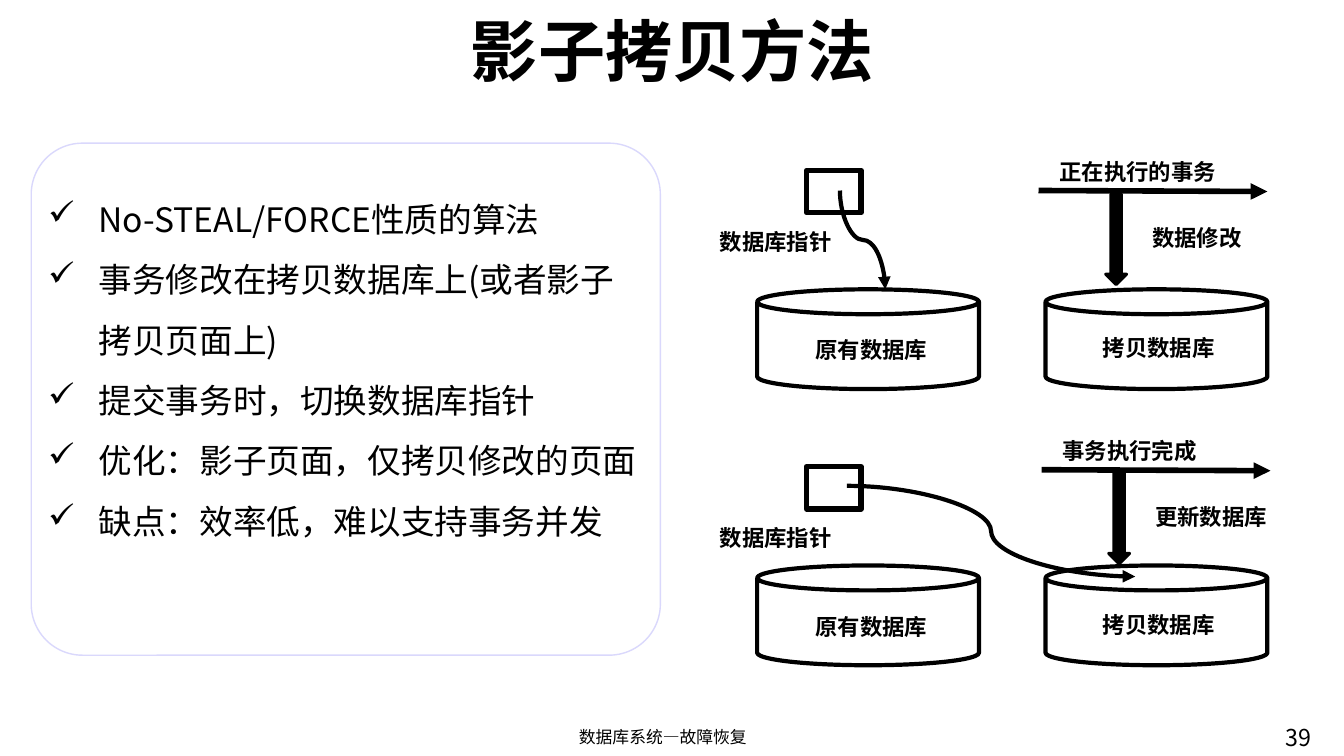
import dataclasses

import pptx
import pptx.dml.color
import pptx.enum.shapes
import pptx.enum.text
import pptx.oxml.ns
import pptx.util
from lxml import etree

SHAPE = pptx.enum.shapes.MSO_SHAPE
CONNECTOR = pptx.enum.shapes.MSO_CONNECTOR
ALIGN = pptx.enum.text.PP_ALIGN
ANCHOR = pptx.enum.text.MSO_ANCHOR
qn = pptx.oxml.ns.qn


@dataclasses.dataclass(frozen=True)
class Theme:
    font: str = "Noto Sans CJK SC"
    ink: str = "000000"
    paper: str = "FFFFFF"
    frame: str = "DAD8FC"
    title: float = 48
    body: float = 24
    body_line: float = 43.2
    label: float = 16
    footer: float = 12
    number: float = 16.6


@dataclasses.dataclass(frozen=True)
class Box:
    x: float
    y: float
    w: float
    h: float

    def inner(self, x, y, w=0, h=0):
        return Box(self.x + x, self.y + y, w, h)

    def emu(self):
        return [cells(n) for n in (self.x, self.y, self.w, self.h)]


THEME = Theme()


def cells(n):
    return pptx.util.Inches(n / 10)


def rgb(color):
    return pptx.dml.color.RGBColor.from_string(color)


def format_text(tf, size, bold=False, align=ALIGN.LEFT):
    for p in tf.paragraphs:
        p.alignment = align
        for r in p.runs:
            r.font.name = THEME.font
            r.font.size = pptx.util.Pt(size)
            r.font.bold = bold
            r.font.color.rgb = rgb(THEME.ink)
            ea = etree.SubElement(r._r.get_or_add_rPr(), qn("a:ea"))
            ea.set("typeface", THEME.font)


def add_text(s, box, text, size, bold=False, align=ALIGN.LEFT):
    tf = s.shapes.add_textbox(*box.emu()).text_frame
    tf.word_wrap = True
    tf.text = text
    format_text(tf, size, bold, align)
    return tf


def add_label(s, box, text):
    width = len(text) * THEME.label / 7.2 + 2.5
    add_text(s, box.inner(0, 0, width, 3.7), text, THEME.label, True)


def add_outline(s, kind, box, width, line=THEME.ink, fill=None):
    sp = s.shapes.add_shape(kind, *box.emu())
    sp.shadow.inherit = False
    sp.line.color.rgb = rgb(line)
    sp.line.width = pptx.util.Pt(width)
    if fill:
        sp.fill.solid()
        sp.fill.fore_color.rgb = rgb(fill)
    else:
        sp.fill.background()
    return sp


def add_arrow(s, kind, start, end, width):
    ends = (start.x, start.y, end.x, end.y)
    c = s.shapes.add_connector(kind, *[cells(n) for n in ends])
    c.line.color.rgb = rgb(THEME.ink)
    c.line.width = pptx.util.Pt(width)
    spPr = c._element.spPr
    etree.SubElement(spPr.find(qn("a:ln")), qn("a:tailEnd")).set("type", "triangle")
    etree.SubElement(spPr, qn("a:effectLst"))
    return c


def add_upright_curve(s, start, end, width):
    mid_x, mid_y = (start.x + end.x) / 2, (start.y + end.y) / 2
    half_w, half_h = (end.x - start.x) / 2, (end.y - start.y) / 2
    c = add_arrow(s, CONNECTOR.CURVE,
                  Box(mid_x + half_h, mid_y - half_w, 0, 0),
                  Box(mid_x - half_h, mid_y + half_w, 0, 0), width)
    c._element.spPr.find(qn("a:xfrm")).set("rot", str(270 * 60000))


def place_title(s, box, text):
    sp = s.shapes.title
    sp.left, sp.top, sp.width, sp.height = box.emu()
    tf = sp.text_frame
    tf.text = text
    tf.auto_size = pptx.enum.text.MSO_AUTO_SIZE.NONE
    tf.vertical_anchor = ANCHOR.MIDDLE
    format_text(tf, THEME.title, True, ALIGN.CENTER)


def place_bullets(s, box, items):
    frame = add_outline(s, SHAPE.ROUNDED_RECTANGLE, box, 1, THEME.frame, THEME.paper)
    frame.adjustments[0] = 0.1
    tf = add_text(s, box.inner(0.7, 3, 61, 42.7), "\n".join(items), THEME.body)
    for p in tf.paragraphs:
        p.line_spacing = pptx.util.Pt(THEME.body_line)
        pPr = p._p.get_or_add_pPr()
        pPr.set("marL", str(cells(5)))
        pPr.set("indent", str(-cells(5)))
        etree.SubElement(pPr, qn("a:buChar")).set("char", "✓")


def place_databases(s, box):
    for can_x, text_x, text_y, text in ((0, 4.8, 4.2, "原有数据库"),
                                        (28.6, 33.3, 4, "拷贝数据库")):
        add_outline(s, SHAPE.CAN, box.inner(can_x, 0, 22, 9.9), 3)
        add_label(s, box.inner(text_x, text_y), text)


def place_pointer(s, box, start, end, upright):
    add_outline(s, SHAPE.RECTANGLE, box.inner(9.6, 0, 5.4, 4.2), 4)
    add_label(s, box.inner(0, 5.2), "数据库指针")
    if upright:
        add_upright_curve(s, box.inner(*start), box.inner(*end), 3)
    else:
        add_arrow(s, CONNECTOR.CURVE, box.inner(*start), box.inner(*end), 3)


def place_transaction(s, box, state, action):
    add_arrow(s, CONNECTOR.STRAIGHT, box.inner(0, 3.7), box.inner(22.7, 3.8), 4)
    add_outline(s, SHAPE.DOWN_ARROW, box.inner(6.65, 4.05, 2.1, 9), 2, fill=THEME.ink)
    add_label(s, box.inner(1.1, 0), state)
    add_label(s, box.inner(10.3, 6.5), action)


def place_footer(s, box, text, number):
    add_text(s, box.inner(44.7, 0.3, 42.1, 3.4), text, THEME.footer, align=ALIGN.CENTER)
    add_text(s, box.inner(126.5, 0, 6.8, 3.7), number, THEME.number)


def build_slide(prs):
    s = prs.slides.add_slide(prs.slide_layouts[5])
    place_title(s, Box(11.5, 1.2, 110.4, 7.4), "影子拷贝方法")
    place_bullets(s, Box(3.1, 14.2, 62.4, 50.8), (
        "No-STEAL/FORCE性质的算法",
        "事务修改在拷贝数据库上(或者影子拷贝页面上)",
        "提交事务时，切换数据库指针",
        "优化：影子页面，仅拷贝修改的页面",
        "缺点：效率低，难以支持事务并发",
    ))
    for top in (28.7, 56.1):
        place_databases(s, Box(75.1, top, 50.6, 9.9))
    place_pointer(s, Box(70.4, 16.9, 17.4, 11.8), (12.9, 2), (17.4, 11.8), True)
    place_pointer(s, Box(70.4, 46.3, 42.2, 10.9), (13.6, 1.9), (42.2, 10.9), False)
    place_transaction(s, Box(103, 15.2, 22.7, 13), "正在执行的事务", "数据修改")
    place_transaction(s, Box(103.3, 42.9, 22.7, 13), "事务执行完成", "更新数据库")
    place_footer(s, Box(0, 71.3, 133.3, 3.7), "数据库系统—故障恢复", "39")


def main():
    prs = pptx.Presentation()
    prs.slide_width = pptx.util.Inches(13.33)
    prs.slide_height = pptx.util.Inches(7.5)
    build_slide(prs)
    prs.save("out.pptx")


if __name__ == "__main__":
    main()
